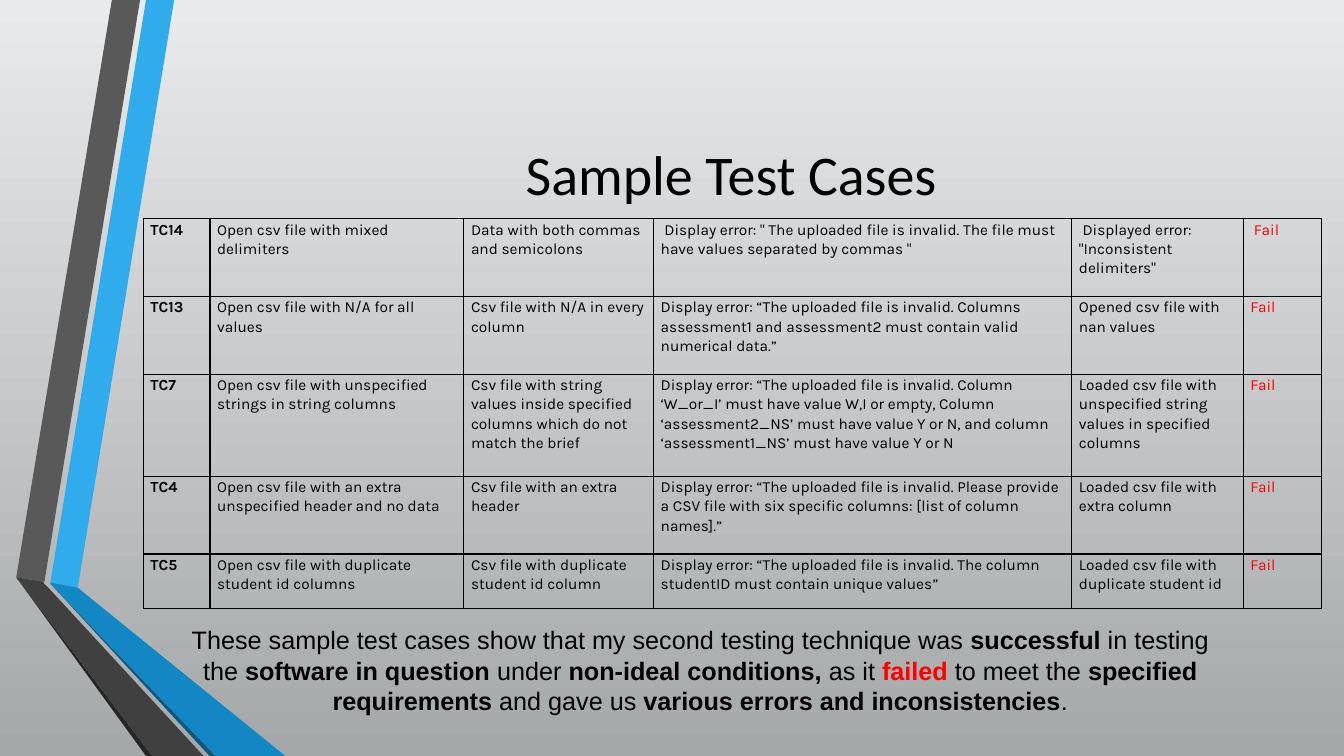
from lxml.etree import SubElement
from pptx import Presentation
from pptx.dml.color import RGBColor
from pptx.enum.text import MSO_ANCHOR, MSO_AUTO_SIZE, PP_ALIGN
from pptx.oxml.ns import qn
from pptx.util import Cm, Pt

BLACK = RGBColor(0x00, 0x00, 0x00)
RED = RGBColor(0xFF, 0x00, 0x00)
BG_TOP = RGBColor(0xE9, 0xEA, 0xEB)
BG_BOTTOM = RGBColor(0xA5, 0xA8, 0xA9)
BLUE = RGBColor(0x30, 0xAC, 0xEC)
BLUE_MID = RGBColor(0x12, 0x87, 0xC3)
BLUE_DARK = RGBColor(0x0C, 0x5A, 0x82)
GREY = RGBColor(0x59, 0x59, 0x59)
GREY_MID = RGBColor(0x40, 0x40, 0x40)
GREY_DARK = RGBColor(0x26, 0x26, 0x26)

# Folded ribbons on the left: colour and corner points in cm
RIBBONS = [
    (BLUE, [(1.27, 14.68), (1.96, 14.81), (4.39, 0), (3.68, 0)]),
    (GREY, [(3.53, 0), (2.82, 0), (0.41, 14.55), (1.12, 14.66)]),
    (GREY_DARK, [(0.41, 14.55), (3.68, 19.05), (3.84, 19.05)]),
    (BLUE_DARK, [(1.27, 14.71), (5.28, 19.05), (5.44, 19.05)]),
    (BLUE_MID, [(1.27, 14.71), (5.44, 19.05), (7.19, 19.05), (1.96, 14.81),
                (1.27, 14.68)]),
    (GREY_MID, [(5.13, 19.05), (1.22, 14.81), (1.09, 14.68), (1.12, 14.66),
                (0.41, 14.55), (3.84, 19.05)]),
]

COL_WIDTHS = [1.68, 6.4, 4.78, 10.54, 4.32, 1.98]
ROW_HEIGHTS = [1.96, 1.96, 2.57, 1.96, 1.37]
TEST_CASES = [
    ("TC14", "Open csv file with mixed delimiters",
     "Data with both commas and semicolons",
     ' Display error: " The uploaded file is invalid. The file must have '
     'values separated by commas "',
     ' Displayed error: "Inconsistent delimiters"', " Fail"),
    ("TC13", "Open csv file with N/A for all values",
     "Csv file with N/A in every column",
     "Display error: “The uploaded file is invalid. Columns assessment1 and "
     "assessment2 must contain valid numerical data.”",
     "Opened csv file with nan values", "Fail"),
    ("TC7", "Open csv file with unspecified strings in string columns",
     "Csv file with string values inside specified columns which do not "
     "match the brief",
     "Display error: “The uploaded file is invalid. Column ‘W_or_I’ must have "
     "value W,I or empty, Column ‘assessment2_NS’ must have value Y or N, and "
     "column ‘assessment1_NS’ must have value Y or N",
     "Loaded csv file with unspecified string values in specified columns",
     "Fail"),
    ("TC4", "Open csv file with an extra unspecified header and no data",
     "Csv file with an extra header",
     "Display error: “The uploaded file is invalid. Please provide a CSV file "
     "with six specific columns: [list of column names].”",
     "Loaded csv file with extra column", "Fail"),
    ("TC5", "Open csv file with duplicate student id columns",
     "Csv file with duplicate student id column",
     "Display error: “The uploaded file is invalid. The column studentID must "
     "contain unique values”",
     "Loaded csv file with duplicate student id", "Fail"),
]

BOLD = {"bold": True}
SUMMARY = [
    ("These sample test cases show that my second testing technique was ", {}),
    ("successful", BOLD),
    (" in testing the ", {}),
    ("software in question ", BOLD),
    ("under ", {}),
    ("non-ideal conditions, ", BOLD),
    ("as it ", {}),
    ("failed", {"bold": True, "color": RED}),
    (" to meet the ", {}),
    ("specified requirements ", BOLD),
    ("and gave us ", {}),
    ("various errors and inconsistencies", BOLD),
    (".", {}),
]


def set_attrs(obj, values):
    for name, value in values.items():
        setattr(obj, name, value)


def add_run(p, text, name, size, color=BLACK, bold=False):
    r = p.add_run()
    r.text = text
    set_attrs(r.font, {"name": name, "size": Pt(size), "bold": bold})
    r.font.color.rgb = color


def set_background(slide):
    fill = slide.background.fill
    fill.gradient()
    fill.gradient_angle = 270
    for stop, color in zip(fill.gradient_stops, (BG_TOP, BG_BOTTOM)):
        stop.color.rgb = color


def add_ribbon(slide, color, points):
    start, *rest = [(Cm(x), Cm(y)) for x, y in points]
    builder = slide.shapes.build_freeform(*start)
    builder.add_line_segments(rest, close=True)
    sp = builder.convert_to_shape()
    sp.shadow.inherit = False
    sp.fill.solid()
    sp.fill.fore_color.rgb = color
    sp.line.fill.background()


def add_centred_text(slide, box, runs, name, size, auto_size):
    """Add one centred paragraph; runs are (text, format) pairs."""
    tf = slide.shapes.add_textbox(*map(Cm, box)).text_frame
    set_attrs(tf, {"word_wrap": True, "auto_size": auto_size,
                   "vertical_anchor": MSO_ANCHOR.MIDDLE})
    p = tf.paragraphs[0]
    p.alignment = PP_ALIGN.CENTER
    for text, fmt in runs:
        add_run(p, text, name, size, **fmt)


def add_borders(cell):
    tcPr = cell._tc.get_or_add_tcPr()
    for side in ("lnL", "lnR", "lnT", "lnB"):
        ln = SubElement(tcPr, qn(f"a:{side}"), w=str(Pt(1)))
        fill = SubElement(ln, qn("a:solidFill"))
        SubElement(fill, qn("a:srgbClr"), val=str(BLACK))


def fill_cell(cell, text, **fmt):
    set_attrs(cell, {"margin_left": Cm(0.18), "margin_right": Cm(0.18),
                     "margin_top": Cm(0.03), "margin_bottom": 0})
    add_borders(cell)
    cell.fill.background()
    p = cell.text_frame.paragraphs[0]
    set_attrs(p, {"line_spacing": 1.07, "space_after": Pt(8)})
    add_run(p, text, "Karla", 11, **fmt)


def add_test_table(slide, left, top):
    table = slide.shapes.add_table(
        len(TEST_CASES), len(COL_WIDTHS), Cm(left), Cm(top),
        Cm(sum(COL_WIDTHS)), Cm(sum(ROW_HEIGHTS))).table
    set_attrs(table, {"first_row": False, "horz_banding": False})
    for column, width in zip(table.columns, COL_WIDTHS):
        column.width = Cm(width)
    formats = [BOLD, {}, {}, {}, {}, {"color": RED}]
    for row, height, case in zip(table.rows, ROW_HEIGHTS, TEST_CASES):
        row.height = Cm(height)
        for cell, text, fmt in zip(row.cells, case, formats):
            fill_cell(cell, text, **fmt)


def main():
    prs = Presentation()
    set_attrs(prs, {"slide_width": Cm(33.87), "slide_height": Cm(19.05)})
    slide = prs.slides.add_slide(prs.slide_layouts[6])
    set_background(slide)
    for color, points in RIBBONS:
        add_ribbon(slide, color, points)
    add_centred_text(slide, (4.9, 1.91, 27.05, 4.88),
                     [("Sample Test Cases", {})], "Calibri", 40,
                     MSO_AUTO_SIZE.NONE)
    add_centred_text(slide, (4.55, 15.6, 26.19, 2.57), SUMMARY, "Arial", 18,
                     MSO_AUTO_SIZE.SHAPE_TO_FIT_TEXT)
    add_test_table(slide, 3.61, 5.51)
    prs.save("out.pptx")


if __name__ == "__main__":
    main()
